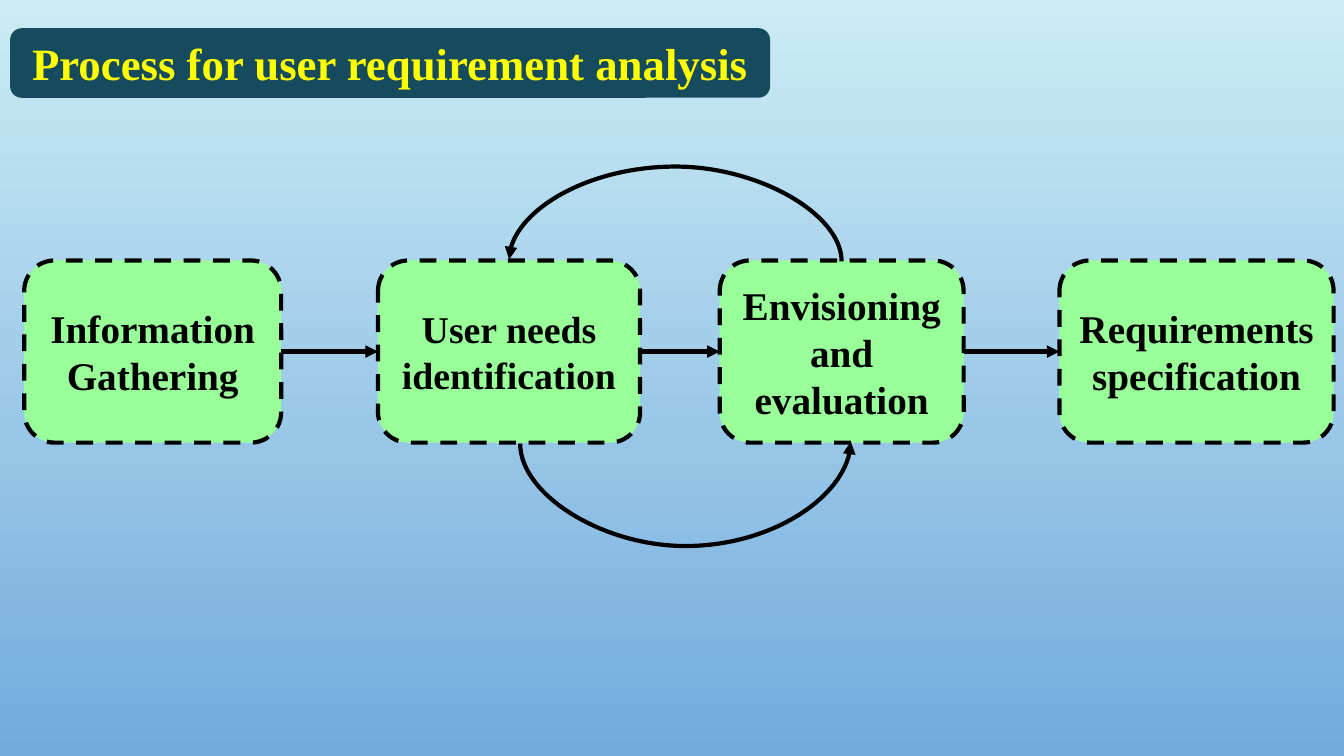
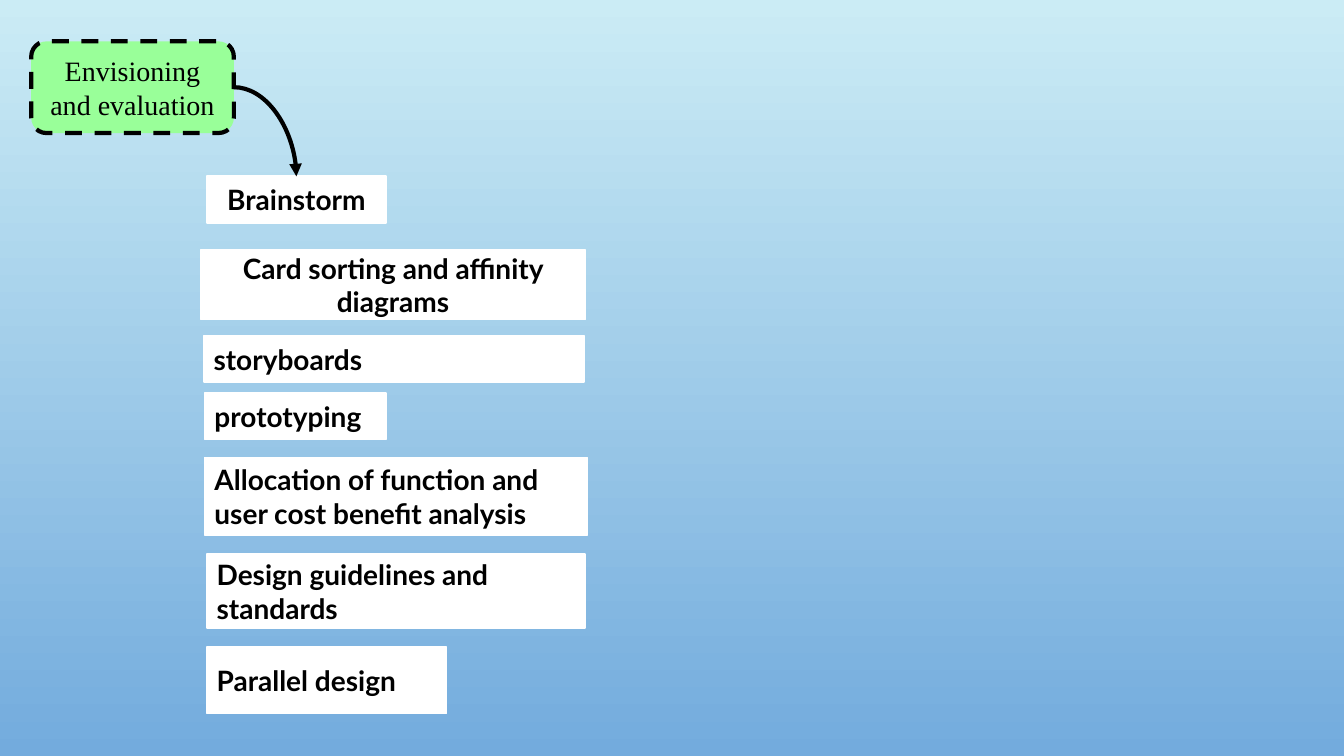
from lxml import etree
from pptx import Presentation
from pptx.dml.color import RGBColor
from pptx.enum.dml import MSO_LINE_DASH_STYLE as Dash
from pptx.enum.shapes import MSO_CONNECTOR as Link, MSO_SHAPE as Shape
from pptx.enum.text import MSO_ANCHOR as Anchor, PP_ALIGN as Align
from pptx.oxml.ns import qn
from pptx.util import Inches, Pt

SKY = RGBColor(0xCB, 0xEC, 0xF5)
BLUE = RGBColor(0x73, 0xAB, 0xDD)
TEAL = RGBColor(0x15, 0x4B, 0x5C)
GREEN = RGBColor(0x99, 0xFF, 0x99)
YELLOW = RGBColor(0xFF, 0xFF, 0x00)
WHITE = RGBColor(0xFF, 0xFF, 0xFF)
BLACK = RGBColor(0, 0, 0)
SERIF, SANS = "Times New Roman", "Lato"
TOP, LEFT, RIGHT = 0, 1, 3  # connection sites
STROKE = Pt(3)
LOOP_DEPTH = Inches(0.02)


class Board:
    """Holds the deck style and the current slide; lengths are percent of the slide."""

    def __init__(self):
        """Start the deck and paint the shared background."""
        self.deck = Presentation()
        self.deck.slide_width, self.deck.slide_height = Inches(13.333), Inches(7.5)
        fill = self.deck.slide_master.background.fill
        fill.gradient()
        fill.gradient_angle = 270
        for stop, color, position in zip(fill.gradient_stops, (SKY, BLUE), (0, 1)):
            stop.color.rgb, stop.position = color, position

    def new_slide(self):
        """Add a blank slide and make it current."""
        self.slide = self.deck.slides.add_slide(self.deck.slide_layouts[6])

    def across(self, share):
        """Turn a percentage of the width into a length."""
        return round(self.deck.slide_width * share / 100)

    def down(self, share):
        """Turn a percentage of the height into a length."""
        return round(self.deck.slide_height * share / 100)

    def box(self, kind, place, text, fill, font, align=Align.CENTER):
        """Add a filled shape with one paragraph of text."""
        left, top, width, height = place
        box = self.slide.shapes.add_shape(
            kind, self.across(left), self.down(top), self.across(width), self.down(height))
        box.shadow.inherit = False
        box.fill.solid()
        box.fill.fore_color.rgb = fill
        box.line.fill.background()
        frame = box.text_frame
        frame.word_wrap, frame.vertical_anchor = True, Anchor.MIDDLE
        para = frame.paragraphs[0]
        para.alignment = align
        span = para.add_run()
        span.text = text
        style = {"name": SERIF, "bold": True} | font
        color = style.pop("color", BLACK)
        for name, value in style.items():
            setattr(span.font, name, value)
        span.font.color.rgb = color
        return box

    def outline(self, box, color, width, dash=None):
        """Draw the border of a box."""
        box.line.color.rgb = color
        for name, value in {"width": width, "dash_style": dash}.items():
            setattr(box.line, name, value)

    def title(self, place, text):
        """Add the dark title band."""
        self.box(Shape.ROUNDED_RECTANGLE, place, text, TEAL,
                 {"size": Pt(32), "color": YELLOW})

    def step(self, place, text, size, bold=True):
        """Add a green process step with a dashed border."""
        box = self.box(Shape.ROUNDED_RECTANGLE, place, text, GREEN,
                       {"size": Pt(size), "bold": bold})
        self.outline(box, BLACK, STROKE, Dash.DASH)
        return box

    def method(self, place, text, align):
        """Add a white card naming a method."""
        box = self.box(Shape.RECTANGLE, place, text, WHITE,
                       {"name": SANS, "size": Pt(20)}, align)
        self.outline(box, WHITE, Pt(1.25))
        return box

    def arrow(self, kind, left=0, top=0, right=0, bottom=0):
        """Add a black connector with a triangle at its end."""
        arrow = self.slide.shapes.add_connector(kind, left, top, right, bottom)
        arrow.line.color.rgb, arrow.line.width = BLACK, STROKE
        etree.SubElement(arrow.line._get_or_add_ln(), qn("a:tailEnd"), type="triangle")
        etree.SubElement(arrow.element.spPr, qn("a:effectLst"))
        return arrow

    def join(self, first, second):
        """Link two steps side by side."""
        arrow = self.arrow(Link.STRAIGHT)
        arrow.begin_connect(first, RIGHT)
        arrow.end_connect(second, LEFT)

    def bend(self, first, second):
        """Link the right of one box to the top of another with one bend."""
        arrow = self.arrow(Link.CURVE)
        arrow.begin_connect(first, RIGHT)
        arrow.end_connect(second, TOP)
        arrow.element.spPr.find(qn("a:prstGeom")).set("prst", "curvedConnector2")

    def loop(self, start, end, level, reach):
        """Add an arched arrow; a positive reach hangs down, a negative one rises."""
        span = self.across(abs(end - start))
        left = self.across((start + end) / 2) - LOOP_DEPTH // 2
        top = self.down(level) - span // 2
        arrow = self.arrow(Link.CURVE, left, top, left + LOOP_DEPTH, top + span)
        frame = arrow.element.spPr.find(qn("a:xfrm"))
        turn = {"rot": "5400000", "flipH": "1"} if reach > 0 else {"rot": "16200000"}
        for name, value in (turn | {"flipV": "1"}).items():
            frame.set(name, value)
        geometry = arrow.element.spPr.find(qn("a:prstGeom"))
        guides = geometry.find(qn("a:avLst"))
        if guides is None:
            guides = etree.SubElement(geometry, qn("a:avLst"))
        bulge = round(-self.down(reach) / LOOP_DEPTH * 100000)
        etree.SubElement(guides, qn("a:gd"), name="adj1", fmla=f"val {bulge}")


def process_slide(board):
    """Show the four steps and the feedback loops."""
    board.new_slide()
    board.title((0.75, 3.73, 56.55, 9.2), "Process for user requirement analysis")
    top, height = 34.45, 24.1
    steps = [board.step((left, top, width, height), text, size)
             for left, width, text, size in (
                 (1.8, 19.12, "Information Gathering", 28),
                 (28.13, 19.5, "User needs identification", 27),
                 (53.55, 18.15, "Envisioning and evaluation", 28),
                 (78.83, 20.4, "Requirements specification", 28))]
    for first, second in zip(steps, steps[1:]):
        board.join(first, second)
    board.loop(38.7, 63.3, top + height, 13.5)
    board.loop(62.62, 37.88, top, -12.5)


def methods_slide(board):
    """List the methods of the envisioning step."""
    board.new_slide()
    cards = [board.method(place, text, align) for place, text, align in (
        ((15.38, 23.33, 13.35, 6.13), "Brainstorm", Align.CENTER),
        ((14.92, 33.07, 28.65, 9.2), "Card sorting and affinity diagrams", Align.CENTER),
        ((15.15, 44.4, 28.28, 6.13), "storyboards", Align.LEFT),
        ((15.22, 52, 13.5, 6.13), "prototyping", Align.LEFT),
        ((15.22, 60.53, 28.5, 10.27),
         "Allocation of function and user cost benefit analysis", Align.LEFT),
        ((15.38, 73.33, 28.13, 9.73), "Design guidelines and standards", Align.LEFT),
        ((15.38, 85.6, 17.85, 8.8), "Parallel design", Align.LEFT))]
    step = board.step((2.32, 5.47, 15.08, 12.13), "Envisioning and evaluation", 20, False)
    board.bend(step, cards[0])


board = Board()
process_slide(board)
methods_slide(board)
board.deck.save("out.pptx")
